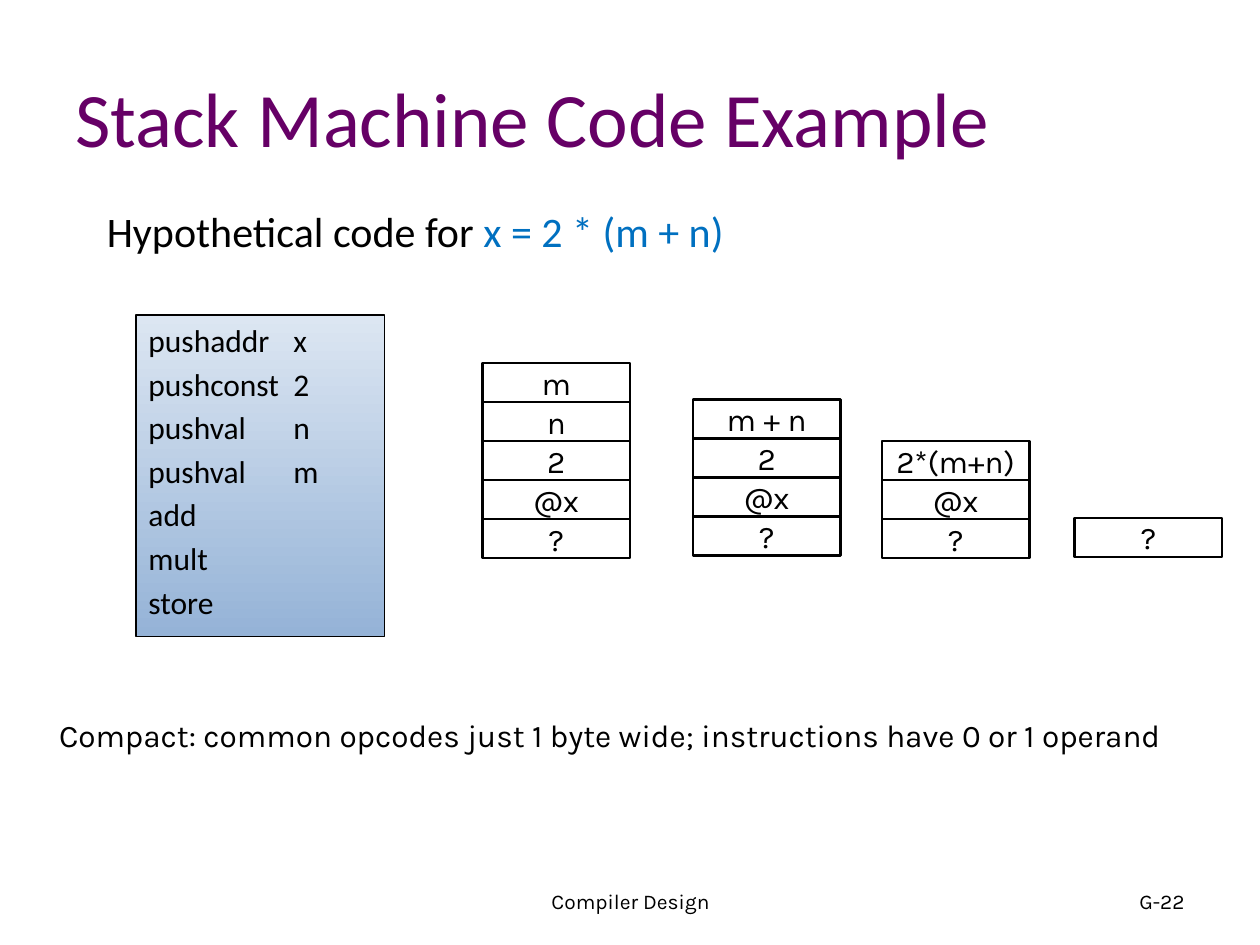
from lxml import etree
from pptx import Presentation
from pptx.dml.color import RGBColor
from pptx.enum.shapes import MSO_SHAPE
from pptx.enum.text import MSO_ANCHOR, PP_ALIGN
from pptx.oxml.ns import qn
from pptx.util import Inches, Pt

BLACK = RGBColor(0x00, 0x00, 0x00)
PURPLE = RGBColor(0x66, 0x00, 0x66)
BLUE = RGBColor(0x00, 0x70, 0xC0)
PALE_BLUE = RGBColor(0xDC, 0xE6, 0xF2)
MID_BLUE = RGBColor(0x95, 0xB3, 0xD7)

LEFT, CENTER, RIGHT = PP_ALIGN.LEFT, PP_ALIGN.CENTER, PP_ALIGN.RIGHT
TOP, MIDDLE = MSO_ANCHOR.TOP, MSO_ANCHOR.MIDDLE
RECTANGLE = MSO_SHAPE.RECTANGLE

HEADING_FONT, BODY_FONT = "Calibri", "Karla"
CELL_WIDTH, CELL_HEIGHT = 1.17, 0.31

CODE = ["pushaddr\tx", "pushconst\t2", "pushval\tn", "pushval\tm",
        "add", "mult", "store"]

# Left edge, bottom edge and entries from top to bottom
STACKS = [
    (3.83, 4.43, ["m", "n", "2", "@x", "?"]),
    (5.5, 4.41, ["m + n", "2", "@x", "?"]),
    (7, 4.43, ["2*(m+n)", "@x", "?"]),
    (8.53, 4.42, ["?"]),
]


def add_span(para, text, font, size, color=BLACK):
    span = para.add_run()
    span.text = text
    span.font.name = font
    span.font.size = Pt(size)
    span.font.color.rgb = color


def add_text(page, box, spans, font, size, align=LEFT, anchor=TOP, before=0):
    frame = page.shapes.add_textbox(*map(Inches, box)).text_frame
    frame.word_wrap = True
    frame.vertical_anchor = anchor
    para = frame.paragraphs[0]
    para.alignment = align
    para.space_before = Pt(before)
    for text, color in spans:
        add_span(para, text, font, size, color)


def add_rectangle(page, box, line_width):
    shape = page.shapes.add_shape(RECTANGLE, *map(Inches, box))
    shape.shadow.inherit = False
    shape.line.color.rgb = BLACK
    shape.line.width = Pt(line_width)
    return shape


def add_tab_stop(para, position):
    tabs = etree.SubElement(para._p.get_or_add_pPr(), qn("a:tabLst"))
    etree.SubElement(tabs, qn("a:tab"), pos=str(Inches(position)), algn="l")


def add_code(page, box, lines):
    panel = add_rectangle(page, box, 0.75)
    panel.fill.gradient()
    panel.fill.gradient_angle = 270
    for stop, color, position in zip(panel.fill.gradient_stops,
                                     (PALE_BLUE, MID_BLUE), (0, 1)):
        stop.color.rgb = color
        stop.position = position
    frame = panel.text_frame
    frame.word_wrap = True
    frame.vertical_anchor = TOP
    for index, line in enumerate(lines):
        para = frame.add_paragraph() if index else frame.paragraphs[0]
        para.alignment = LEFT
        para.space_before = Pt(3.3)
        add_tab_stop(para, 1.15)
        # A run keeps the tab between opcode and operand
        add_span(para, line, HEADING_FONT, 18)


def add_stack(page, left, bottom, entries):
    top = bottom - CELL_HEIGHT * len(entries)
    for row, entry in enumerate(entries):
        box = (left, top + row * CELL_HEIGHT, CELL_WIDTH, CELL_HEIGHT)
        cell = add_rectangle(page, box, 1.5)
        cell.fill.background()
        frame = cell.text_frame
        frame.word_wrap = False
        frame.vertical_anchor = MIDDLE
        para = frame.paragraphs[0]
        para.alignment = CENTER
        add_span(para, entry, BODY_FONT, 18)


def add_footer(page, left, top):
    add_text(page, (left, top, 3.17, 0.4), [("Compiler Design", BLACK)],
             BODY_FONT, 12, CENTER, MIDDLE)
    add_text(page, (left + 3.75, top, 2.33, 0.4), [("G-22", BLACK)],
             BODY_FONT, 12, RIGHT, MIDDLE)


deck = Presentation()
deck.slide_width, deck.slide_height = Inches(10), Inches(7.5)
page = deck.slides.add_slide(deck.slide_layouts[6])

# Title and lead line
add_text(page, (0.5, 0.3, 9, 1.25), [("Stack Machine Code Example", PURPLE)],
         HEADING_FONT, 44, anchor=MIDDLE)
add_text(page, (0.75, 1.58, 8.37, 0.5),
         [("Hypothetical code for ", BLACK), ("x = 2 * (m + n)", BLUE)],
         HEADING_FONT, 24, before=4.8)

# Code and the stack after each stage
add_code(page, (1.08, 2.5, 1.97, 2.55), CODE)
for left, bottom, entries in STACKS:
    add_stack(page, left, bottom, entries)

# Remark and footer
add_text(page, (0.37, 5.63, 9.29, 0.4),
         [("Compact: common opcodes just 1 byte wide; "
           "instructions have 0 or 1 operand", BLACK)], BODY_FONT, 18)
add_footer(page, 3.42, 6.95)

deck.save("out.pptx")
